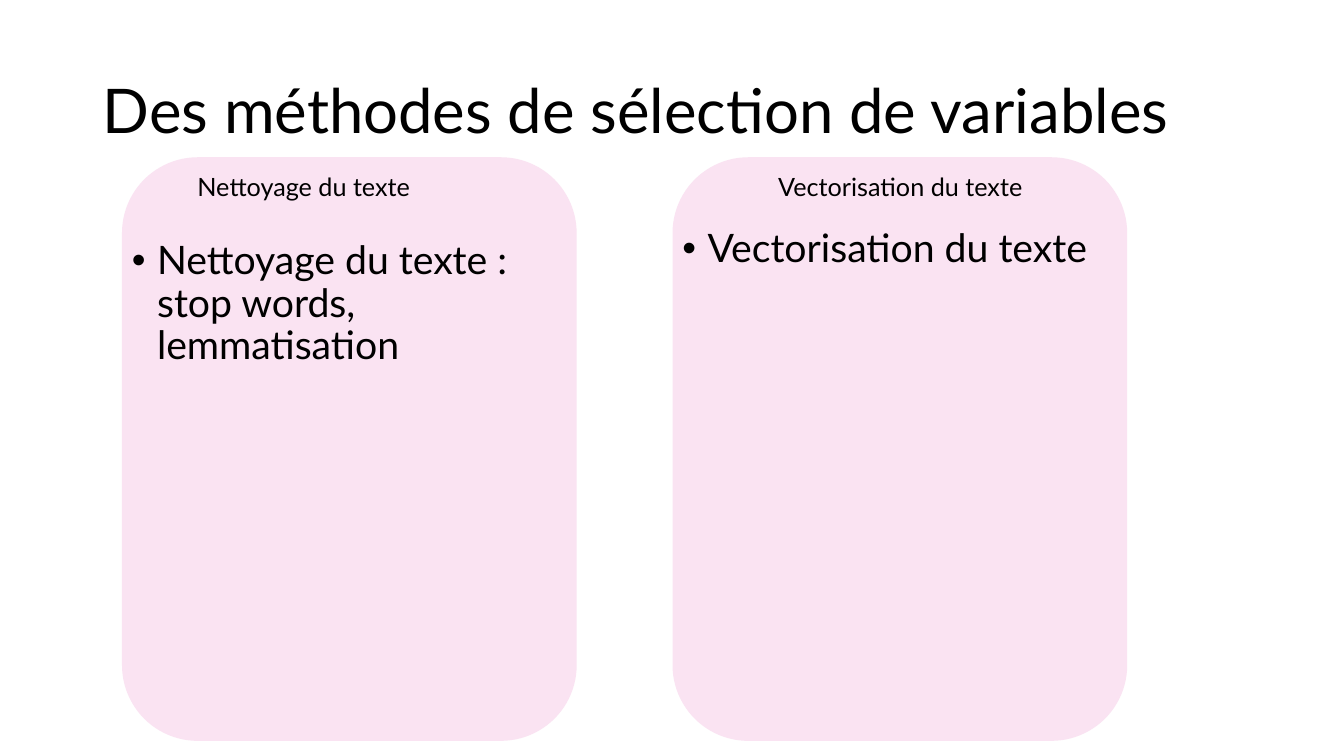
from lxml import etree
from pptx import Presentation
from pptx.dml.color import RGBColor
from pptx.enum.shapes import MSO_SHAPE
from pptx.enum.text import MSO_ANCHOR
from pptx.oxml.ns import qn
from pptx.util import Inches, Pt

ROUNDED = MSO_SHAPE.ROUNDED_RECTANGLE
TOP, MIDDLE = MSO_ANCHOR.TOP, MSO_ANCHOR.MIDDLE
BLACK = RGBColor(0x00, 0x00, 0x00)
PINK = RGBColor(0xFA, 0xE3, 0xF2)
FONT = "Lato"

# Two columns of cards
CARD_LEFT, CARD_TOP = 1.21, 1.56
CARD_WIDTH, CARD_HEIGHT = 4.51, 5.79
COLUMN_STEP = 5.46
HEADING_TOP, HEADING_WIDTH, HEADING_HEIGHT = 1.65, 3.21, 0.4
BODY_HEIGHT = 4.76
INDENT = Inches(0.25)

# Heading, heading offset in the card, body text, body top
CARDS = [
    ("Nettoyage du texte", 0.65,
     "Nettoyage du texte : stop words, lemmatisation", 2.34),
    ("Vectorisation du texte", 0.95, "Vectorisation du texte", 2.22),
]

presentation = Presentation()
presentation.slide_width = Inches(13.33)
presentation.slide_height = Inches(7.5)
slide = presentation.slides.add_slide(presentation.slide_layouts[6])


def add_text(text, left, top, width, height, size, anchor=TOP, spacing=1.0, bullet=False):
    box = slide.shapes.add_textbox(Inches(left), Inches(top), Inches(width), Inches(height))
    frame = box.text_frame
    frame.word_wrap = True
    frame.vertical_anchor = anchor
    paragraph = frame.paragraphs[0]
    paragraph.line_spacing = spacing
    if bullet:
        properties = paragraph._p.get_or_add_pPr()
        properties.set("marL", str(INDENT))
        properties.set("indent", str(-INDENT))
        etree.SubElement(properties, qn("a:buFont")).set("typeface", "Arial")
        etree.SubElement(properties, qn("a:buChar")).set("char", "•")
    run = paragraph.add_run()
    run.text = text
    run.font.name = FONT
    run.font.size = Pt(size)
    run.font.color.rgb = BLACK


# Title
add_text("Des méthodes de sélection de variables", 0.92, 0.4, 11.5, 1.45, 44,
         anchor=MIDDLE, spacing=0.9)

# Cards with heading and bullet
for column, (heading, heading_offset, body, body_top) in enumerate(CARDS):
    left = CARD_LEFT + column * COLUMN_STEP
    card = slide.shapes.add_shape(ROUNDED, Inches(left), Inches(CARD_TOP),
                                  Inches(CARD_WIDTH), Inches(CARD_HEIGHT))
    card.shadow.inherit = False
    card.fill.solid()
    card.fill.fore_color.rgb = PINK
    card.line.fill.background()
    add_text(heading, left + heading_offset, HEADING_TOP, HEADING_WIDTH, HEADING_HEIGHT, 18)
    add_text(body, left, body_top, CARD_WIDTH, BODY_HEIGHT, 28, spacing=0.9, bullet=True)

presentation.save("out.pptx")
